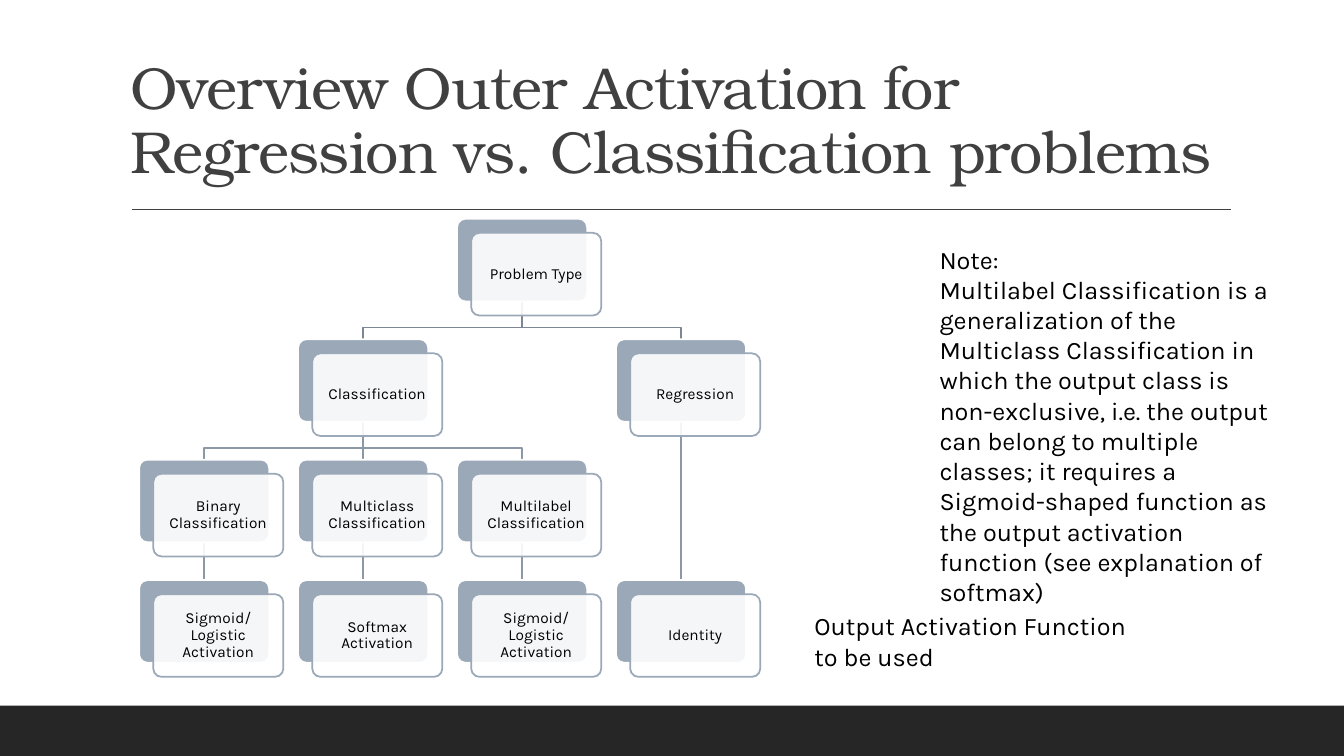
from lxml.etree import SubElement
from pptx import Presentation
from pptx.dml.color import RGBColor
from pptx.enum.shapes import MSO_CONNECTOR, MSO_SHAPE
from pptx.enum.text import MSO_ANCHOR, PP_ALIGN
from pptx.oxml.ns import qn
from pptx.util import Inches, Pt

COLORS = {name: RGBColor.from_string(value) for name, value in {
    "white": "FFFFFF", "black": "000000", "footer": "262626", "title": "404040",
    "node": "9BA8B7", "top link": "7C8793", "lower link": "8D98A6",
}.items()}
BODY_FONT, TITLE_FONT = "Karla", "TeX Gyre Bonum"

# Tree grid, in inches
LEFT, TOP = 1.38, 2.17
COLUMN_STEP, ROW_STEP = 4.73 / 3, 1.195
NODE_WIDTH, NODE_HEIGHT = 1.29, 0.82
FRONT_SHIFT = 0.14
LINK_BEND = 0.26

# name: (label, column, row, parent)
NODES = {
    "root": ("Problem Type", 2, 0, None),
    "classification": ("Classification", 1, 1, "root"),
    "regression": ("Regression", 3, 1, "root"),
    "binary": ("Binary Classification", 0, 2, "classification"),
    "multiclass": ("Multiclass Classification", 1, 2, "classification"),
    "multilabel": ("Multilabel Classification", 2, 2, "classification"),
    "binary output": ("Sigmoid/Logistic Activation", 0, 3, "binary"),
    "multiclass output": ("Softmax Activation", 1, 3, "multiclass"),
    "multilabel output": ("Sigmoid/Logistic Activation", 2, 3, "multilabel"),
    "regression output": ("Identity", 3, 3, "regression"),
}


def add_text(box, paragraphs, size, font=BODY_FONT, color="black",
             align=PP_ALIGN.LEFT, anchor=MSO_ANCHOR.TOP, spacing=1.0):
    """Fill a shape with one run per paragraph and return the last run."""
    frame = box.text_frame
    frame.word_wrap = True
    frame.vertical_anchor = anchor
    for index, text in enumerate(paragraphs):
        para = frame.add_paragraph() if index else frame.paragraphs[0]
        para.alignment = align
        para.line_spacing = spacing
        run = para.add_run()
        run.text = text
        run.font.name = font
        run.font.size = Pt(size)
        run.font.color.rgb = COLORS[color]
    return run


def style_shape(shape, fill=None, line=None, width=1.25):
    """Set fill and outline, and switch the shadow off."""
    if fill:
        shape.fill.solid()
        shape.fill.fore_color.rgb = COLORS[fill]
    else:
        shape.fill.background()
    if line:
        shape.line.color.rgb = COLORS[line]
        shape.line.width = Pt(width)
    else:
        shape.line.fill.background()
    shape.shadow.inherit = False


deck = Presentation()
deck.slide_width, deck.slide_height = Inches(13.33), Inches(7.5)
page = deck.slides.add_slide(deck.slide_layouts[6])
shapes = page.shapes

# Footer band, title and rule
footer = shapes.add_shape(MSO_SHAPE.RECTANGLE, 0, Inches(7), deck.slide_width, Inches(0.5))
style_shape(footer, fill="footer")
title = shapes.add_textbox(Inches(1.2), Inches(0.31), Inches(11), Inches(1.59))
title_run = add_text(
    title, ["Overview Outer Activation for Regression vs. Classification problems"],
    42.3, TITLE_FONT, "title", anchor=MSO_ANCHOR.BOTTOM, spacing=0.9)
title_run.font._element.set("spc", "-50")

# Straight lines: the title rule, then links within one column
straight_lines = [(1.31, 2.08, 12.21, 2.08, "title", 1)]
for label, column, row, parent in NODES.values():
    if parent is None:
        continue
    _, parent_column, parent_row, _ = NODES[parent]
    start_x = LEFT + parent_column * COLUMN_STEP + NODE_WIDTH / 2
    start_y = TOP + parent_row * ROW_STEP + NODE_HEIGHT
    end_x = LEFT + column * COLUMN_STEP + NODE_WIDTH / 2
    end_y = TOP + row * ROW_STEP
    color = "lower link" if parent_row else "top link"
    if column == parent_column:
        straight_lines.append((start_x, start_y, end_x, end_y, color, 1.25))
        continue
    bend_y = start_y + LINK_BEND
    builder = shapes.build_freeform(Inches(start_x), Inches(start_y))
    builder.add_line_segments(
        [(Inches(x), Inches(y)) for x, y in
         ((start_x, bend_y), (end_x, bend_y), (end_x, end_y))], close=False)
    style_shape(builder.convert_to_shape(), line=color)

for start_x, start_y, end_x, end_y, color, width in straight_lines:
    line = shapes.add_connector(MSO_CONNECTOR.STRAIGHT, Inches(start_x), Inches(start_y),
                                Inches(end_x), Inches(end_y))
    line.line.color.rgb = COLORS[color]
    line.line.width = Pt(width)
    SubElement(line._element.spPr, qn("a:effectLst"))

# Nodes: a solid card behind a translucent labelled card
for label, column, row, parent in NODES.values():
    for shift, fill, outline in ((0, "node", "white"), (FRONT_SHIFT, "white", "node")):
        card = shapes.add_shape(
            MSO_SHAPE.ROUNDED_RECTANGLE,
            Inches(LEFT + column * COLUMN_STEP + shift),
            Inches(TOP + row * ROW_STEP + shift),
            Inches(NODE_WIDTH), Inches(NODE_HEIGHT))
        card.adjustments[0] = 0.1
        style_shape(card, fill, outline)
    fill_color = card._element.spPr.find(qn("a:solidFill"))[0]
    SubElement(fill_color, qn("a:alpha"), val="90000")
    frame = card.text_frame
    frame.margin_left = frame.margin_right = Inches(0.05)
    frame.margin_top = frame.margin_bottom = Inches(0.05)
    add_text(card, [label], 11, align=PP_ALIGN.CENTER,
             anchor=MSO_ANCHOR.MIDDLE, spacing=0.9)

# Side texts
caption = shapes.add_textbox(Inches(7.98), Inches(6.01), Inches(3.53), Inches(0.71))
add_text(caption, ["Output Activation Function to be used"], 18)
note = shapes.add_textbox(Inches(9.22), Inches(2.37), Inches(3.53), Inches(3.13))
add_text(note, [
    "Note:",
    "Multilabel Classification is a generalization of the Multiclass Classification "
    "in which the output class is non-exclusive, i.e. the output can belong to multiple "
    "classes; it requires a Sigmoid-shaped function as the output activation function "
    "(see explanation of softmax)",
], 18)

deck.save("out.pptx")
